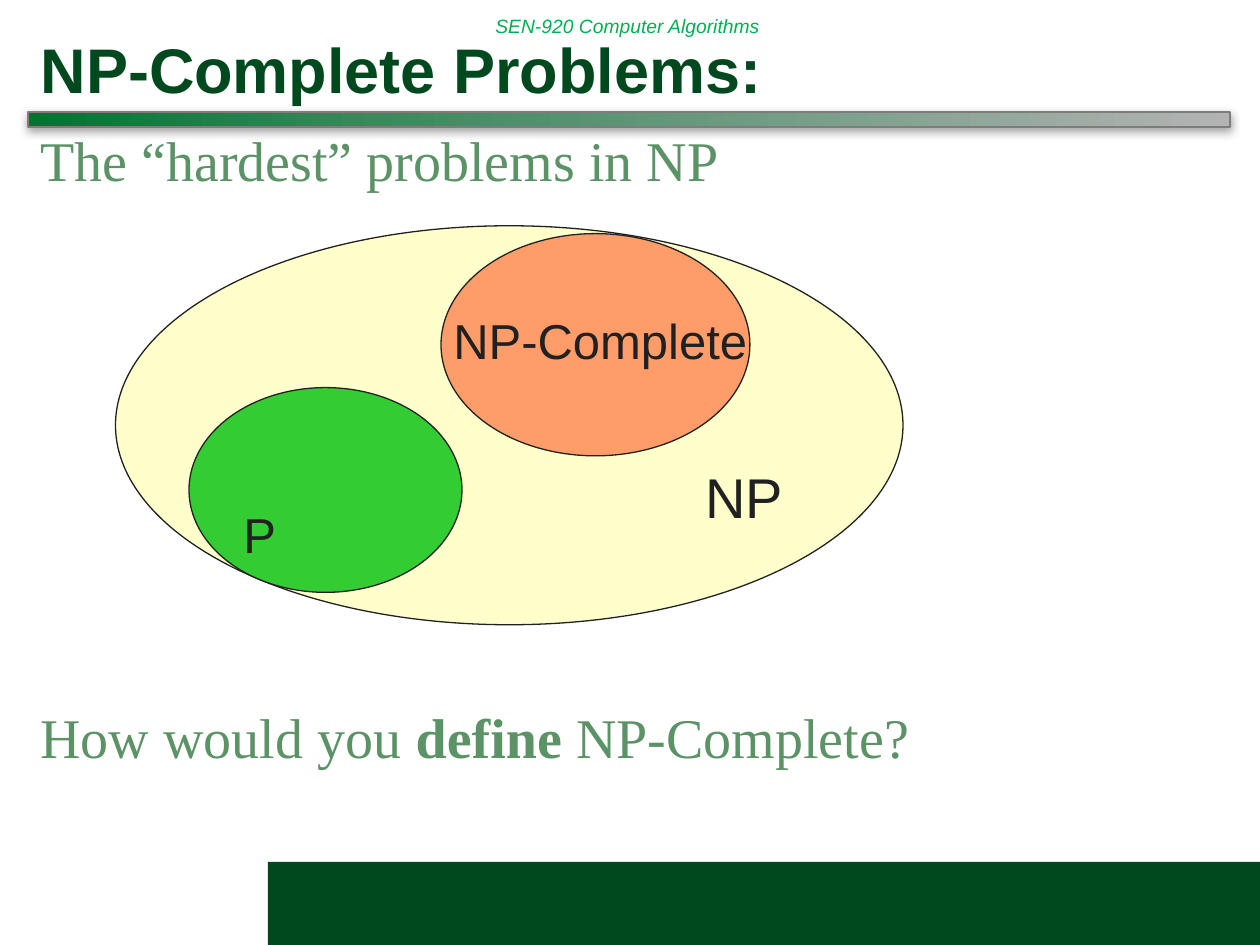
"""Build the NP-Complete Problems slide with its nested set diagram."""
from dataclasses import dataclass
from lxml.etree import SubElement as Sub
from pptx import Presentation
from pptx.dml.color import RGBColor as Rgb
from pptx.enum.shapes import MSO_SHAPE as Kind
from pptx.enum.text import MSO_ANCHOR as Anchor, PP_ALIGN as Align
from pptx.oxml.ns import qn
from pptx.util import Pt


@dataclass
class Theme:
    sans: str = "Arial"
    serif: str = "Times New Roman"
    dark: str = "00481E"
    sage: str = "5B9266"
    green: str = "00B050"
    ink: str = "212121"
    edge: str = "7D7D7D"
    shade: str = "808080"
    head: int = 36
    body: int = 32
    label: int = 28
    small: int = 11


T = Theme()
SIZE = 720, 540
LEFT, WIDE = 16, 687
TITLE = "NP-Complete Problems:"
COURSE = "SEN-920 Computer Algorithms"
BODY = [
    [("The “hardest” problems in NP", False)],
    [("How would you ", False), ("define ", True), ("NP-Complete?", False)],
]
GAP = 295
FADE = [(0, "007430"), (29, "3C895C"), (100, "B3B3B3")]
OVALS = [
    ((66, 129, 450, 228), "FFFFCC", 100),
    ((108, 221.5, 156, 117), "33CC33", 100),
    ((252, 133.5, 176.5, 127), "FF3300", 48),
]
LABELS = [
    ("P", (132, 285, 36, 41), T.label),
    ("NP", (396, 261, 60, 45), T.body),
    ("NP-Complete", (252, 174, 216, 41), T.label),
]


def place(box):
    return [Pt(n) for n in box]


def style(run, size, color, face=T.sans, bold=False, italic=False):
    font = run.font
    font.name, font.size = face, Pt(size)
    font.bold, font.italic = bold, italic
    font.color.rgb = Rgb.from_string(color)


def tint(parent, color, alpha):
    node = Sub(parent, qn("a:srgbClr"), val=color)
    if alpha < 100:
        Sub(node, qn("a:alpha"), val=str(alpha * 1000))


def shape(slide, kind, box, fill, line=None, width=0.75, alpha=100):
    item = slide.shapes.add_shape(kind, *place(box))
    item.shadow.inherit = False
    item.fill.solid()
    item.fill.fore_color.rgb = Rgb.from_string(fill)
    if alpha < 100:
        node = item.fill._xPr.find(qn("a:solidFill"))
        node.remove(node[0])
        tint(node, fill, alpha)
    if line:
        item.line.color.rgb = Rgb.from_string(line)
        item.line.width = Pt(width)
    else:
        item.line.fill.background()
    return item


def text(slide, words, box, size, color, italic=False, anchor=Anchor.TOP):
    frame = slide.shapes.add_textbox(*place(box)).text_frame
    frame.word_wrap = True
    frame.vertical_anchor = anchor
    frame.text = words
    style(frame.paragraphs[0].runs[0], size, color, italic=italic)


def title(slide):
    item = slide.shapes.title
    item.left, item.top, item.width, item.height = place((LEFT, 11.5, WIDE, 52.5))
    frame = item.text_frame
    frame.text = TITLE
    frame.vertical_anchor = Anchor.BOTTOM
    frame.paragraphs[0].alignment = Align.LEFT
    style(frame.paragraphs[0].runs[0], T.head, T.dark, bold=True)


def rule(slide):
    item = shape(slide, Kind.RECTANGLE, (LEFT, 64, WIDE, 8.5), T.dark, T.edge, 1)
    item.fill.gradient()
    item.fill.gradient_angle = 0
    stops = item.fill._xPr.find(qn("a:gradFill")).find(qn("a:gsLst"))
    for old in list(stops):
        stops.remove(old)
    for pos, color in FADE:
        tint(Sub(stops, qn("a:gs"), pos=str(pos * 1000)), color, 100)
    effect = item._element.spPr.find(qn("a:effectLst"))
    cast = Sub(effect, qn("a:outerShdw"), blurRad=str(Pt(5)), dist=str(Pt(2)),
               dir="5400000", algn="ctr", rotWithShape="0")
    tint(cast, T.shade, 75)


def body(slide):
    frame = slide.shapes.add_textbox(*place((LEFT, 72.5, WIDE, 410))).text_frame
    frame.word_wrap = True
    for i, parts in enumerate(BODY):
        para = frame.add_paragraph() if i else frame.paragraphs[0]
        para.line_spacing = 0.9
        para.space_before = Pt(GAP if i else 0)
        for words, bold in parts:
            run = para.add_run()
            run.text = words
            style(run, T.body, T.sage, T.serif, bold)


def main():
    deck = Presentation()
    deck.slide_width, deck.slide_height = place(SIZE)
    slide = deck.slides.add_slide(deck.slide_layouts[5])
    shape(slide, Kind.RECTANGLE, (153, 492.5, 567, 47.5), T.dark)
    text(slide, COURSE, (276, 0, 332, 29), T.small, T.green, True, Anchor.MIDDLE)
    rule(slide)
    title(slide)
    body(slide)
    for box, fill, alpha in OVALS:
        shape(slide, Kind.OVAL, box, fill, T.ink, alpha=alpha)
    for words, box, size in LABELS:
        text(slide, words, box, size, T.ink)
    deck.save("out.pptx")


if __name__ == "__main__":
    main()
